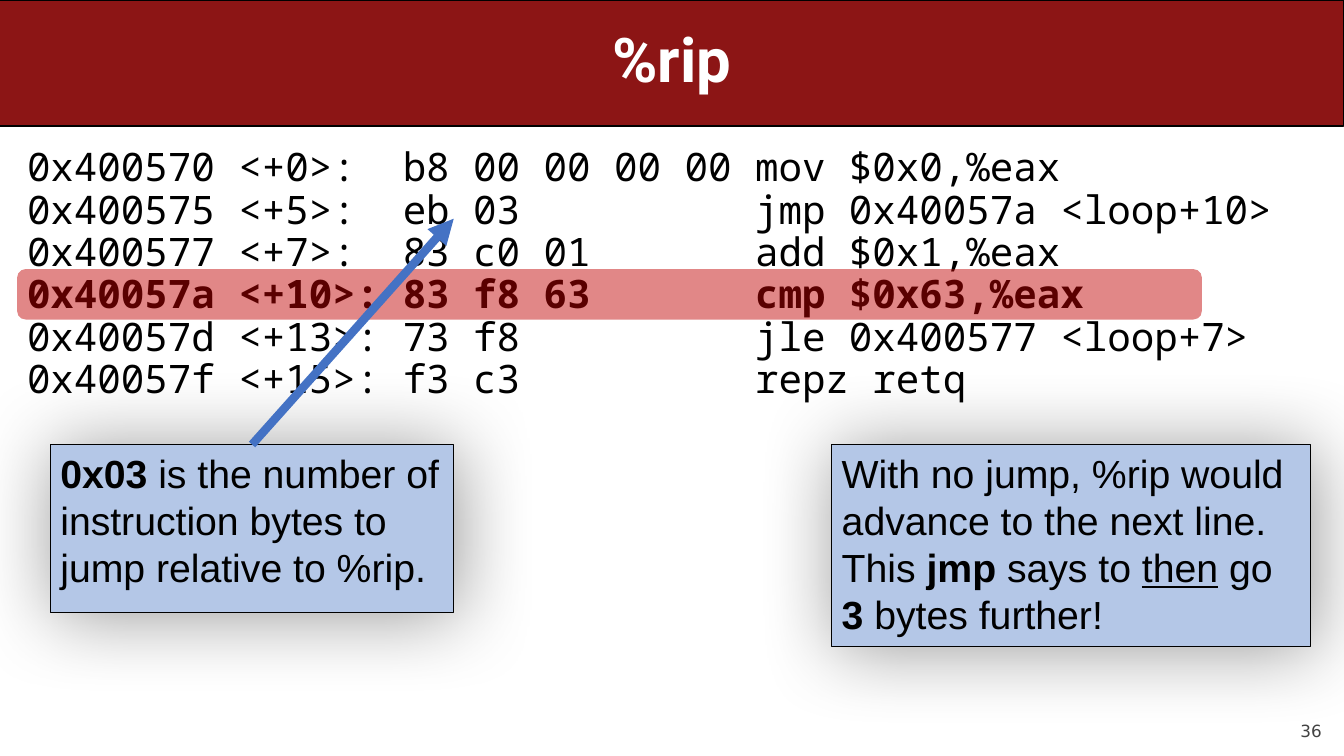
from dataclasses import dataclass

from lxml.etree import SubElement
from pptx import Presentation
from pptx.dml.color import RGBColor
from pptx.enum.shapes import MSO_CONNECTOR, MSO_SHAPE
from pptx.enum.text import MSO_ANCHOR, PP_ALIGN
from pptx.oxml.ns import qn
from pptx.util import Inches, Pt

COLORS = {
    "black": "000000",
    "white": "FFFFFF",
    "banner": "8C1515",
    "highlight": "C00000",
    "callout": "B4C7E7",
    "arrow": "4472C4",
    "page": "424242",
}


@dataclass
class Instruction:
    address: int
    code_bytes: str
    assembly: str
    current: bool = False


@dataclass
class Span:
    text: str
    bold: bool = False
    underline: bool = False


@dataclass
class Callout:
    left: float
    width: float
    height: float
    spans: list[Span]


INSTRUCTIONS = [
    Instruction(0x400570, "b8 00 00 00 00", "mov $0x0,%eax"),
    Instruction(0x400575, "eb 03", "jmp 0x40057a <loop+10>"),
    Instruction(0x400577, "83 c0 01", "add $0x1,%eax"),
    Instruction(0x40057A, "83 f8 63", "cmp $0x63,%eax", current=True),
    Instruction(0x40057D, "73 f8", "jle 0x400577 <loop+7>"),
    Instruction(0x40057F, "f3 c3", "repz retq"),
]
OFFSET_NOTE = Callout(0.5, 4, 1.67, [
    Span("0x03", bold=True),
    Span(" is the number of instruction bytes to jump relative to %rip."),
])
JUMP_NOTE = Callout(8.25, 4.75, 2, [
    Span("With no jump, %rip would advance to the next line. This "),
    Span("jmp", bold=True),
    Span(" says to "),
    Span("then", underline=True),
    Span(" go "),
    Span("3", bold=True),
    Span(" bytes further!"),
])
CALLOUT_TOP = 4.41


def rgb(name: str) -> RGBColor:
    return RGBColor.from_string(COLORS[name])


def style_font(font, face: str, size: float, color: str = "black", bold: bool = False) -> None:
    font.name, font.size, font.bold = face, Pt(size), bold
    font.color.rgb = rgb(color)


def add_box(slide, kind, left: float, top: float, width: float, height: float,
            fill: str, outlined: bool = True):
    box = slide.shapes.add_shape(kind, Inches(left), Inches(top), Inches(width), Inches(height))
    box.shadow.inherit = False
    box.fill.solid()
    box.fill.fore_color.rgb = rgb(fill)
    if outlined:
        box.line.color.rgb = rgb("black")
        box.line.width = Pt(0.75)
    else:
        box.line.fill.background()
    return box


def add_text_frame(slide, left: float, top: float, width: float, height: float, anchor):
    frame = slide.shapes.add_textbox(
        Inches(left), Inches(top), Inches(width), Inches(height)).text_frame
    frame.word_wrap = True
    frame.vertical_anchor = anchor
    return frame


def add_banner(slide, title: str) -> None:
    banner = add_box(slide, MSO_SHAPE.ROUNDED_RECTANGLE, 0, 0, 13.33, 1.25, "banner")
    banner.adjustments[0] = 0
    heading = add_text_frame(slide, 0.5, 0, 12.33, 1.25, MSO_ANCHOR.MIDDLE).paragraphs[0]
    heading.text = title
    heading.alignment = PP_ALIGN.CENTER
    heading.line_spacing = 0.9
    style_font(heading.font, "Roboto", 44, "white", bold=True)


def add_disassembly(slide, instructions: list[Instruction]) -> None:
    frame = add_text_frame(slide, 0.17, 1.42, 12.96, 5.67, MSO_ANCHOR.TOP)
    start = instructions[0].address
    for index, instruction in enumerate(instructions):
        line = frame.add_paragraph() if index else frame.paragraphs[0]
        label = f"{instruction.address:#x} <+{instruction.address - start}>:"
        line.text = f"{label:<16}{instruction.code_bytes:<15}{instruction.assembly}"
        line.line_spacing = 0.9
        style_font(line.font, "Noto Sans Mono", 28, bold=instruction.current)


def add_highlight(slide) -> None:
    """Lay a translucent band over the current instruction."""
    band = add_box(slide, MSO_SHAPE.ROUNDED_RECTANGLE, 0.17, 2.67, 11.75, 0.5,
                   "highlight", outlined=False)
    fill_color = band.fill._xPr.find(qn("a:solidFill"))[0]
    SubElement(fill_color, qn("a:alpha"), val="47000")


def add_soft_shadow(box) -> None:
    effects = box._element.spPr.find(qn("a:effectLst"))
    shadow = SubElement(effects, qn("a:outerShdw"), blurRad=str(Pt(58)), dist=str(Pt(3)),
                        dir=str(45 * 60000), algn="tl", rotWithShape="0")
    shade = SubElement(shadow, qn("a:srgbClr"), val=COLORS["black"])
    SubElement(shade, qn("a:alpha"), val="40000")


def add_callout(slide, callout: Callout):
    box = add_box(slide, MSO_SHAPE.RECTANGLE, callout.left, CALLOUT_TOP,
                  callout.width, callout.height, "callout")
    add_soft_shadow(box)
    box.text_frame.word_wrap = True
    box.text_frame.vertical_anchor = MSO_ANCHOR.TOP
    note = box.text_frame.paragraphs[0]
    note.alignment = PP_ALIGN.LEFT
    style_font(note.font, "Arial", 28)
    for span in callout.spans:
        run = note.add_run()
        run.text = span.text
        style_font(run.font, "Arial", 28, bold=span.bold)
        run.font.underline = span.underline
    return box


def add_arrow(slide, source, tip_x: float, tip_y: float) -> None:
    """Point from the top of a callout to the given tip."""
    arrow = slide.shapes.add_connector(
        MSO_CONNECTOR.STRAIGHT, Inches(2.5), Inches(CALLOUT_TOP), Inches(tip_x), Inches(tip_y))
    arrow.begin_connect(source, 0)
    arrow.line.color.rgb = rgb("arrow")
    arrow.line.width = Pt(6)
    SubElement(arrow.line._get_or_add_ln(), qn("a:tailEnd"), type="triangle")
    SubElement(arrow._element.spPr, qn("a:effectLst"))


def add_page_number(slide, number: int) -> None:
    frame = add_text_frame(slide, 12, 6.95, 1.11, 0.4, MSO_ANCHOR.BOTTOM)
    frame.margin_left = frame.margin_right = frame.margin_top = frame.margin_bottom = 0
    page = frame.paragraphs[0]
    page.text = str(number)
    page.alignment = PP_ALIGN.RIGHT
    style_font(page.font, "DejaVu Sans", 12, "page")


def main() -> None:
    deck = Presentation()
    deck.slide_width, deck.slide_height = Inches(13.33), Inches(7.5)
    slide = deck.slides.add_slide(deck.slide_layouts[6])
    add_page_number(slide, 36)
    add_banner(slide, "%rip")
    add_disassembly(slide, INSTRUCTIONS)
    add_highlight(slide)
    offset_box = add_callout(slide, OFFSET_NOTE)
    add_arrow(slide, offset_box, 4.5, 2.17)
    add_callout(slide, JUMP_NOTE)
    deck.save("out.pptx")


if __name__ == "__main__":
    main()
